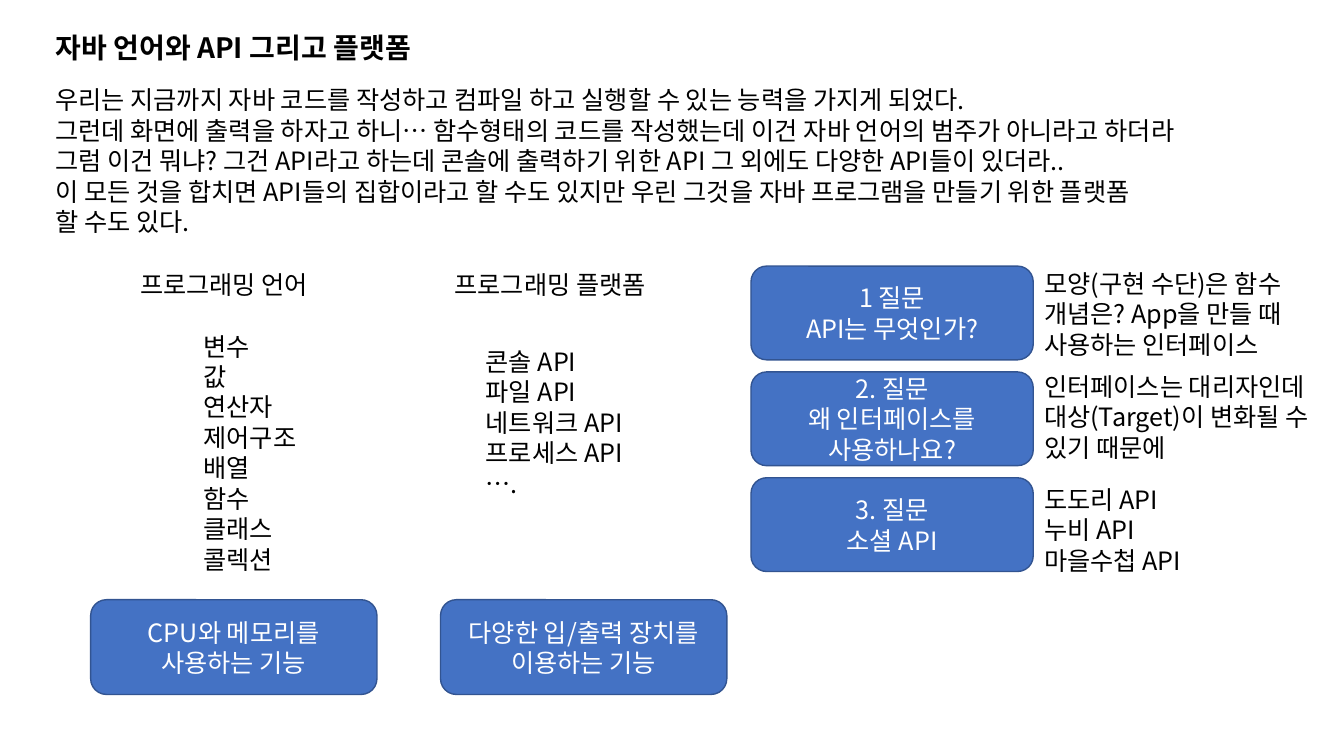
"""Build a slide on the Java language, APIs and platforms."""
import pptx
import pptx.dml.color
import pptx.enum.shapes
import pptx.enum.text
import pptx.oxml.ns
import pptx.util
from lxml import etree

THEME = {
    "font": "Noto Sans CJK KR",
    "text": "000000",
    "light": "FFFFFF",
    "fill": "4472C4",
    "line": "325491",
    "title": 20,
    "body": 18,
    "leading": 1.21,
}
PP_ALIGN = pptx.enum.text.PP_ALIGN
ANCHOR = pptx.enum.text.MSO_ANCHOR
rgb = pptx.dml.color.RGBColor.from_string

prs = pptx.Presentation()
prs.slide_width = pptx.util.Inches(13.33)
prs.slide_height = pptx.util.Inches(7.5)
COL, ROW = prs.slide_width / 100, prs.slide_height / 100
LINE, INSET = 4.03, 1.33
s = prs.slides.add_slide(prs.slide_layouts[5])


def write(sp, text, size, color, align, anchor, bold=False):
    tf = sp.text_frame
    tf.text = text
    tf.vertical_anchor = anchor
    tf.margin_left = tf.margin_right = pptx.util.Inches(0.1)
    tf.margin_top = tf.margin_bottom = pptx.util.Inches(0.05)
    for p in tf.paragraphs:
        p.alignment = align
        p.line_spacing = pptx.util.Pt(size * THEME["leading"])
        for r in p.runs:
            r.font.name = THEME["font"]
            r.font.size = pptx.util.Pt(size)
            r.font.bold = bold
            r.font.color.rgb = rgb(color)
            ea = etree.SubElement(r.font._element, pptx.oxml.ns.qn("a:ea"))
            ea.set("typeface", THEME["font"])


def grid(col, row, cols, rows):
    return [int(v) for v in (col * COL, row * ROW, cols * COL, rows * ROW)]


title = s.shapes.title
title.left, title.top, title.width, title.height = grid(3.38, 3.33, 30.75, 5.87)
write(title, "자바 언어와 API 그리고 플랫폼", THEME["title"], THEME["text"],
      PP_ALIGN.LEFT, ANCHOR.TOP, True)
title.text_frame.word_wrap = False

intro = [
    "우리는 지금까지 자바 코드를 작성하고 컴파일 하고 실행할 수 있는 능력을 가지게 되었다.",
    "그런데 화면에 출력을 하자고 하니… 함수형태의 코드를 작성했는데 이건 자바 언어의 범주가 아니라고 하더라",
    "그럼 이건 뭐냐? 그건 API라고 하는데 콘솔에 출력하기 위한 API 그 외에도 다양한 API들이 있더라..",
    "이 모든 것을 합치면 API들의 집합이라고 할 수도 있지만 우린 그것을 자바 프로그램을 만들기 위한 플랫폼",
    "할 수도 있다.",
]
language = ["변수", "값", "연산자", "제어구조", "배열", "함수", "클래스", "콜렉션"]
platform = ["콘솔 API", "파일 API", "네트워크 API", "프로세스 API", "…."]
texts = [
    (3.38, 10.53, 94.95, intro),
    (9.68, 34.93, 15.45, ["프로그래밍 언어"]),
    (33.08, 34.93, 17.33, ["프로그래밍 플랫폼"]),
    (14.4, 43.07, 9.08, language),
    (35.4, 45.07, 12.6, platform),
    (76.95, 34.8, 21.83,
     ["모양(구현 수단)은 함수", "개념은? App을 만들 때", "사용하는 인터페이스"]),
    (76.95, 48.4, 23.03,
     ["인터페이스는 대리자인데", "대상(Target)이 변화될 수", "있기 때문에"]),
    (76.95, 63.33, 12.6, ["도도리 API", "누비 API", "마을수첩 API"]),
]
for col, row, cols, lines in texts:
    sp = s.shapes.add_textbox(*grid(col, row, cols, len(lines) * LINE + INSET))
    write(sp, "\n".join(lines), THEME["body"], THEME["text"], PP_ALIGN.LEFT, ANCHOR.TOP)
    sp.text_frame.word_wrap = False
    sp.text_frame.auto_size = pptx.enum.text.MSO_AUTO_SIZE.SHAPE_TO_FIT_TEXT

questions = [
    "1 질문\nAPI는 무엇인가?",
    "2. 질문\n왜 인터페이스를 사용하나요?",
    "3. 질문\n소셜 API",
]
boxes = [
    (6.75, 79.33, 21.3, 12.53, "CPU와 메모리를 사용하는 기능"),
    (32.78, 79.33, 21.3, 12.53, "다양한 입/출력 장치를\n이용하는 기능"),
]
boxes += [(55.88, 35.2 + 14 * i, 21, 12.4, q) for i, q in enumerate(questions)]
for *cell, text in boxes:
    sp = s.shapes.add_shape(pptx.enum.shapes.MSO_SHAPE.ROUNDED_RECTANGLE, *grid(*cell))
    sp.shadow.inherit = False
    sp.fill.solid()
    sp.fill.fore_color.rgb = rgb(THEME["fill"])
    sp.line.color.rgb = rgb(THEME["line"])
    sp.line.width = pptx.util.Pt(1)
    write(sp, text, THEME["body"], THEME["light"], PP_ALIGN.CENTER, ANCHOR.MIDDLE)
    sp.text_frame.word_wrap = True

prs.save("out.pptx")
